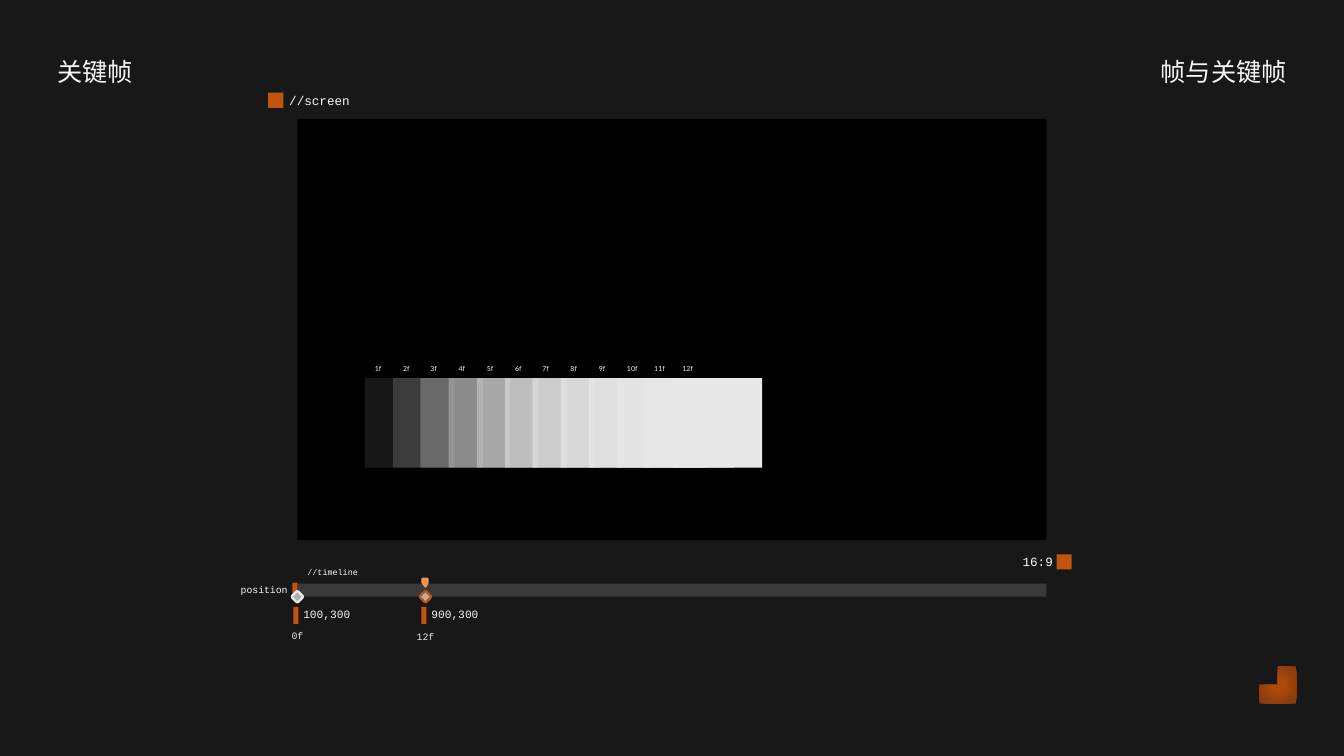
from pptx import Presentation, util as u
from pptx.dml.color import RGBColor
from pptx.enum import shapes, text
from pptx.oxml import parse_xml
from pptx.oxml.ns import nsdecls, qn
from lxml import etree

PX = 9144  # EMU per px, 100 px to the inch
THEME = {
    "back": "181818", "screen": "000000", "track": "3A3A3A", "accent": "C1540F",
    "text": "F7F7F7", "ghost": "E8E8E8", "key": "AEAEAE", "playhead": "F29357",
    "glow": [(0, "AC4B0D"), (23, "AC4B0D"), (69, "913F0B"), (97, "873B0A")],
    "sans": "Lato", "mono": "Courier New",
    "title": 18, "label": 9, "value": 8, "tick": 7, "small": 6, "frame": 5,
}
LEFT, RIGHT, CENTER = text.PP_ALIGN.LEFT, text.PP_ALIGN.RIGHT, text.PP_ALIGN.CENTER
SHAPE = shapes.MSO_SHAPE


def write(box, words, size, font="mono", align=LEFT, sp=None, wrap=True, color="text",
          anchor=text.MSO_ANCHOR.TOP):
    """Write one line into sp, or into a new text box, placed at box."""
    sp = sp or slide.shapes.add_textbox(0, 0, 0, 0)
    sp.left, sp.top, sp.width, sp.height = [n * PX for n in box]
    tf = sp.text_frame
    tf.word_wrap, tf.vertical_anchor = wrap, anchor
    tf.auto_size = text.MSO_AUTO_SIZE.SHAPE_TO_FIT_TEXT
    p = tf.paragraphs[0]
    p.alignment = align
    r = p.add_run()
    r.text = words
    r.font.name, r.font.size = THEME[font], u.Pt(THEME[size])
    r.font.color.rgb = RGBColor.from_string(THEME[color])


def block(box, fill=None, line=None, width=0, kind=SHAPE.RECTANGLE, rotation=0):
    sp = slide.shapes.add_shape(kind, *[n * PX for n in box])
    sp.shadow.inherit = False
    sp.rotation = rotation
    if fill:
        sp.fill.solid()
        sp.fill.fore_color.rgb = RGBColor.from_string(THEME[fill])
    else:
        sp.fill.background()
    if line:
        sp.line.color.rgb = RGBColor.from_string(THEME[line])
        sp.line.width = u.Pt(width)
    else:
        sp.line.fill.background()
    return sp


prs = Presentation()
prs.slide_width, prs.slide_height = 1333 * PX, 750 * PX
slide = prs.slides.add_slide(prs.slide_layouts[5])
slide.background.fill.solid()
slide.background.fill.fore_color.rgb = RGBColor.from_string(THEME["back"])

# Headings
write((47, 51, 674, 40), "关键帧", "title", "sans", sp=slide.shapes.title)
write((693, 51, 593, 40), "帧与关键帧", "title", "sans", RIGHT)

# Glowing corner
corner = block((1249, 661, 37, 37), kind=SHAPE.CORNER, rotation=270)
stops = "".join(f'<a:gs pos="{pos * 1000}"><a:srgbClr val="{color}"/></a:gs>'
                for pos, color in THEME["glow"])
glow = parse_xml(
    f'<a:gradFill {nsdecls("a")} rotWithShape="1"><a:gsLst>{stops}</a:gsLst><a:path path="circle">'
    '<a:fillToRect l="50000" t="50000" r="50000" b="50000"/></a:path></a:gradFill>')
props = corner.element.spPr
props.replace(props.find(qn("a:noFill")), glow)

# Screen and its two tags
block((295, 118, 743, 418), "screen")
block((1048, 550, 15, 15), "accent")
write((969, 545, 85, 25), "16:9", "label", align=RIGHT)
block((266, 92, 15, 15), "accent")
write((277, 87, 85, 25), "//screen", "label")

# Timeline
block((295, 579, 743, 13), "track")
write((181, 574, 114, 22), "position", "tick", align=RIGHT, anchor=text.MSO_ANCHOR.MIDDLE)
block((290, 578, 5, 13), "accent")
write((295, 558, 112, 20), "//timeline", "small")

# Keyframes: diamond, value and frame number
keyframes = [(295, "ghost", None, "100,300", "0f", (279, 620, 32, 22)),
             (422, "accent", "accent", "900,300", "12f", (402, 621, 40, 22))]
for x, ring, inside, value, frame, frame_box in keyframes:
    diamond = (x - 3, 589, 6, 6)
    block(diamond, inside, ring, 3.5, rotation=315)
    block(diamond, "key", rotation=315)
    write((x - 4, 598, 186, 24), value, "value")
    block((x - 4, 602, 5, 17), "accent")
    write(frame_box, frame, "tick", align=CENTER, wrap=False, color="ghost")

# Playhead
outline = slide.shapes.build_freeform(419, 574, scale=PX)
outline.add_line_segments([(424, 574), (424, 578), (422, 582), (419, 578)], close=True)
playhead = outline.convert_to_shape()
playhead.shadow.inherit = False
playhead.fill.solid()
playhead.fill.fore_color.rgb = playhead.line.color.rgb = RGBColor.from_string(THEME["playhead"])
playhead.line.width = u.Pt(1.5)

# Trail of the moving square, newest frame at the back
FRAMES = 12
xs = [362 + round(305 * i / (FRAMES - 1)) for i in range(FRAMES)]
for i in reversed(range(FRAMES)):
    ghost = block((xs[i], 375, 89, 89), "ghost")
    opacity = 10 + round(90 * i / (FRAMES - 1))
    color = ghost.element.spPr.find(qn("a:solidFill"))[0]
    etree.SubElement(color, qn("a:alpha"), val=str(opacity * 1000))
for i, x in enumerate(xs, 1):
    write((x, 357, 28 if i < 10 else 33, 19), f"{i}f", "frame", "sans", wrap=False)

prs.save("out.pptx")
